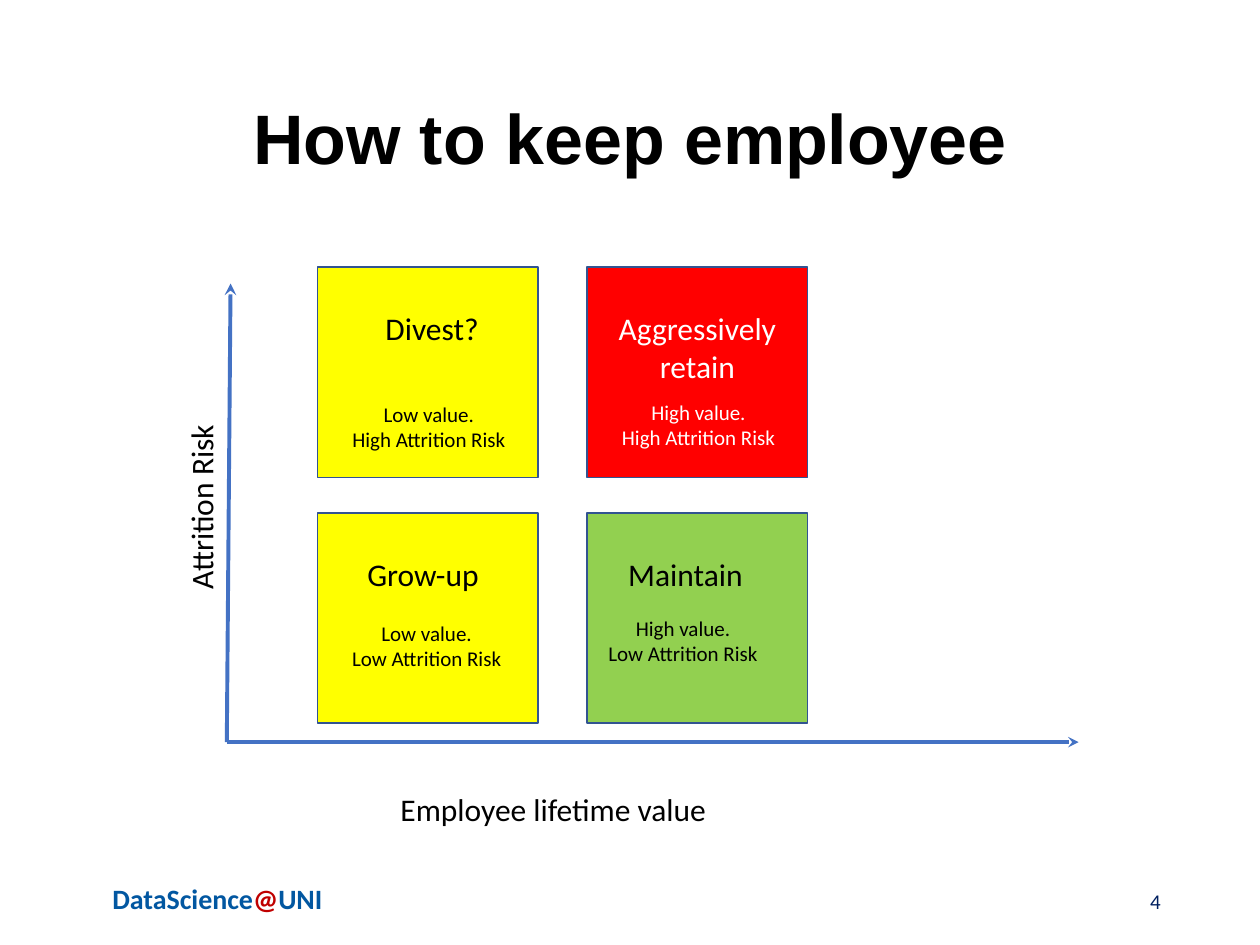
from itertools import product

from lxml.etree import SubElement
from pptx import Presentation
from pptx.dml.color import RGBColor
from pptx.enum.shapes import MSO_CONNECTOR as CONN, MSO_SHAPE as SHAPE
from pptx.enum.text import MSO_ANCHOR as ANCHOR, PP_ALIGN as ALIGN
from pptx.oxml.ns import qn
from pptx.util import Inches, Pt

COLS, ROWS = 100, 75
UNIT = Inches(0.1)
COLORS = {
    "black": "000000", "white": "FFFFFF", "yellow": "FFFF00", "red": "FF0000",
    "green": "92D050", "edge": "325491", "axis": "4472C4",
    "brand": "0257A1", "at": "C00000", "number": "002060",
}
BODY = {"name": "Calibri", "size": Pt(18), "bold": False}
SMALL = BODY | {"size": Pt(12)}
BRAND = BODY | {"size": Pt(16), "bold": True}
HEADING = {"name": "Arial", "size": Pt(40), "bold": True}

# Heading and caption boxes are shares of their card: left, top, width, height.
CARDS = [
    {"fill": "yellow", "ink": "black",
     "head": ("Divest?", ALIGN.CENTER, (0.17, 0.17, 0.7, 0.25)),
     "caption": ("Low value.\nHigh Attrition Risk", (0.07, 0.61, 0.87, 0.3))},
    {"fill": "red", "ink": "white",
     "head": ("Aggressively retain", ALIGN.CENTER, (0, 0.17, 1, 0.43)),
     "caption": ("High value.\nHigh Attrition Risk", (0.07, 0.6, 0.87, 0.3))},
    {"fill": "yellow", "ink": "black",
     "head": ("Grow-up", ALIGN.LEFT, (0.17, 0.17, 0.7, 0.24)),
     "caption": ("Low value.\nLow Attrition Risk", (0.06, 0.48, 0.87, 0.3))},
    {"fill": "green", "ink": "black",
     "head": ("Maintain", ALIGN.LEFT, (0.13, 0.17, 0.74, 0.24)),
     "caption": ("High value.\nLow Attrition Risk", (0, 0.46, 0.87, 0.3))},
]


def rgb(name):
    return RGBColor.from_string(COLORS[name])


def emu(box):
    return [round(v * UNIT) for v in box]


def part(box, shares):
    """Turn shares of a box into a box in grid units."""
    x, y, w, h = box
    fx, fy, fw, fh = shares
    return x + fx * w, y + fy * h, fw * w, fh * h


def add_run(p, text, fmt, color):
    r = p.add_run()
    r.text = text
    for key, value in fmt.items():
        setattr(r.font, key, value)
    r.font.color.rgb = rgb(color)


def fill_text(sp, text, fmt, color, align, anchor=ANCHOR.TOP):
    """Write one paragraph per line of text."""
    tf = sp.text_frame
    tf.word_wrap, tf.vertical_anchor = True, anchor
    for i, line in enumerate(text.split("\n")):
        p = tf.add_paragraph() if i else tf.paragraphs[0]
        p.alignment = align
        add_run(p, line, fmt, color)


def add_label(s, box, text, fmt, color, align=ALIGN.LEFT, anchor=ANCHOR.TOP):
    sp = s.shapes.add_textbox(*emu(box))
    fill_text(sp, text, fmt, color, align, anchor)
    return sp


def add_title(s, box):
    sp = s.shapes.title
    sp.left, sp.top, sp.width, sp.height = emu(box)
    fill_text(sp, "How to keep employee", HEADING, "black", ALIGN.CENTER, ANCHOR.MIDDLE)
    sp.text_frame.paragraphs[0].line_spacing = 0.9


def add_arrow(s, start, end, width):
    ln = s.shapes.add_connector(CONN.STRAIGHT, *emu(start + end))
    ln.line.color.rgb, ln.line.width = rgb("axis"), Pt(width)
    SubElement(ln.line._get_or_add_ln(), qn("a:tailEnd"), type="stealth")
    SubElement(ln._element.spPr, qn("a:effectLst"))


def add_axes(s, box):
    x, y, w, h = box
    origin = (x, y + h)
    add_arrow(s, origin, (x + 0.3, y), 2.25)
    add_arrow(s, origin, (x + w, y + h), 2)
    add_label(s, (x + 12.8, y + h + 3.3, 31.1, 4), "Employee lifetime value", BODY, "black")
    label = add_label(s, (x - 11.8, y + 13.5, 19.5, 4), "Attrition Risk", BODY, "black")
    label.rotation = 270


def add_card(s, box, card):
    sp = s.shapes.add_shape(SHAPE.RECTANGLE, *emu(box))
    sp.shadow.inherit = False
    sp.fill.solid()
    sp.fill.fore_color.rgb = rgb(card["fill"])
    sp.line.color.rgb, sp.line.width = rgb("edge"), Pt(1)
    head, align, shares = card["head"]
    add_label(s, part(box, shares), head, BODY, card["ink"], align)
    caption, shares = card["caption"]
    add_label(s, part(box, shares), caption, SMALL, card["ink"], ALIGN.CENTER)


def add_matrix(s, box):
    """Place the cards two by two, row by row, in the corners of the box."""
    x, y, w, h = box
    card_w, card_h = 17.5, 16.7
    for (row, col), card in zip(product(range(2), repeat=2), CARDS):
        corner = (x + col * (w - card_w), y + row * (h - card_h))
        add_card(s, corner + (card_w, card_h), card)


def add_footer(s, box):
    x, y, w, h = box
    brand = s.shapes.add_textbox(*emu((x, y, 20.7, h)))
    p = brand.text_frame.paragraphs[0]
    p.alignment = ALIGN.CENTER
    for text, color in (("DataScience", "brand"), ("@", "at"), ("UNI", "brand")):
        add_run(p, text, BRAND, color)
    number_w = 22.5
    add_label(s, (x + w - number_w, y, number_w, 4), "4", SMALL, "number",
              ALIGN.RIGHT, ANCHOR.MIDDLE)


def main():
    prs = Presentation()
    prs.slide_width, prs.slide_height = COLS * UNIT, ROWS * UNIT
    s = prs.slides.add_slide(prs.slide_layouts[5])
    margin = 6.9
    content_w = COLS - 2 * margin
    add_title(s, (margin, 4, content_w, 14.5))
    add_axes(s, (18, 22.5, 67.6, 36.4))
    add_matrix(s, (25.2, 21.2, 38.9, 36.2))
    add_footer(s, (margin, 69.5, content_w, 5.3))
    prs.save("out.pptx")


if __name__ == "__main__":
    main()
